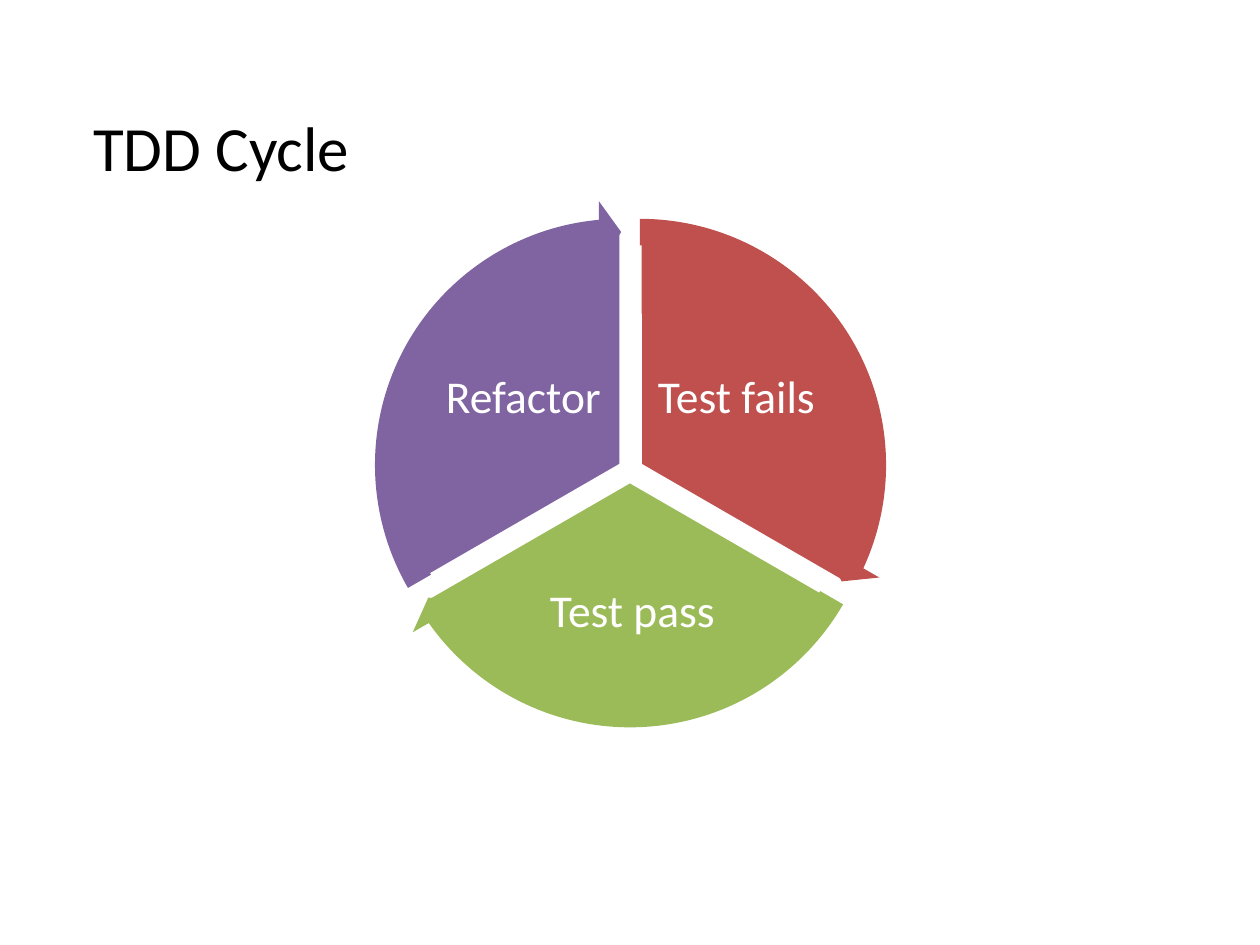
"""Build the TDD cycle slide: three pie sectors ringed by arrows."""
from pptx import Presentation
from pptx.dml.color import RGBColor as RGB
from pptx.enum.shapes import MSO_SHAPE as Kind
from pptx.enum.text import MSO_ANCHOR as Anchor, MSO_AUTO_SIZE as Fit, PP_ALIGN as Align
from pptx.util import Inches, Pt

TITLE = "TDD Cycle"
FONT = "Calibri"
COLORS = {"red": "C0504D", "green": "9BBB59", "purple": "8064A2",
          "white": "FFFFFF", "black": "000000"}
PIE, RING = 3.73, 4.2
STEPS = [
    {"text": "Test fails", "color": "red", "center": (5.08, 3.69),
     "box": (5.18, 2.61, 1.33, 1.11), "sweep": (162, 18), "tip": 14.73},
    {"text": "Test pass", "color": "green", "center": (5, 3.82),
     "box": (4.02, 4.37, 2, 0.98), "sweep": (18, 90), "tip": 86.72},
    {"text": "Refactor", "color": "purple", "center": (4.93, 3.69),
     "box": (3.49, 2.61, 1.33, 1.11), "sweep": (90, 162), "tip": 158.73},
]


def style(para, size, color, align):
    para.alignment = align
    for run in para.runs:
        run.font.name = FONT
        run.font.size = Pt(size)
        run.font.color.rgb = RGB.from_string(COLORS[color])


def add_round(slide, kind, step, size, adjust):
    x, y = step["center"]
    shape = slide.shapes.add_shape(kind, Inches(x - size / 2), Inches(y - size / 2),
                                   Inches(size), Inches(size))
    for i, value in enumerate(adjust):
        shape.adjustments[i] = value
    shape.shadow.inherit = False
    shape.fill.solid()
    shape.fill.fore_color.rgb = RGB.from_string(COLORS[step["color"]])
    shape.line.fill.background()
    return shape


def add_sector(slide, step):
    pie = add_round(slide, Kind.PIE, step, PIE, step["sweep"])
    pie.line.color.rgb = RGB.from_string(COLORS["white"])
    pie.line.width = Pt(2)
    frame = slide.shapes.add_textbox(*map(Inches, step["box"])).text_frame
    frame.word_wrap = True
    frame.vertical_anchor = Anchor.MIDDLE
    frame.margin_left = frame.margin_right = Inches(0.04)
    frame.margin_top = frame.margin_bottom = Inches(0.04)
    frame.text = step["text"]
    para = frame.paragraphs[0]
    para.line_spacing = 0.9
    style(para, 26, "white", Align.CENTER)


def add_title(slide):
    title = slide.shapes.title
    title.left, title.top, title.width, title.height = map(Inches, (0.64, 0.81, 2.25, 0.71))
    frame = title.text_frame
    frame.text = TITLE
    frame.word_wrap = False
    frame.auto_size = Fit.SHAPE_TO_FIT_TEXT
    frame.vertical_anchor = Anchor.TOP
    style(frame.paragraphs[0], 36, "black", Align.LEFT)


def main():
    deck = Presentation()
    deck.slide_width, deck.slide_height = Inches(10), Inches(7.5)
    slide = deck.slides.add_slide(deck.slide_layouts[5])
    add_title(slide)
    for step in STEPS:
        add_sector(slide, step)
    for step in STEPS:
        adjust = (0.05, 3.28, step["tip"], step["sweep"][0], 0.06)
        add_round(slide, Kind.CIRCULAR_ARROW, step, RING, adjust)
    deck.save("out.pptx")


if __name__ == "__main__":
    main()
